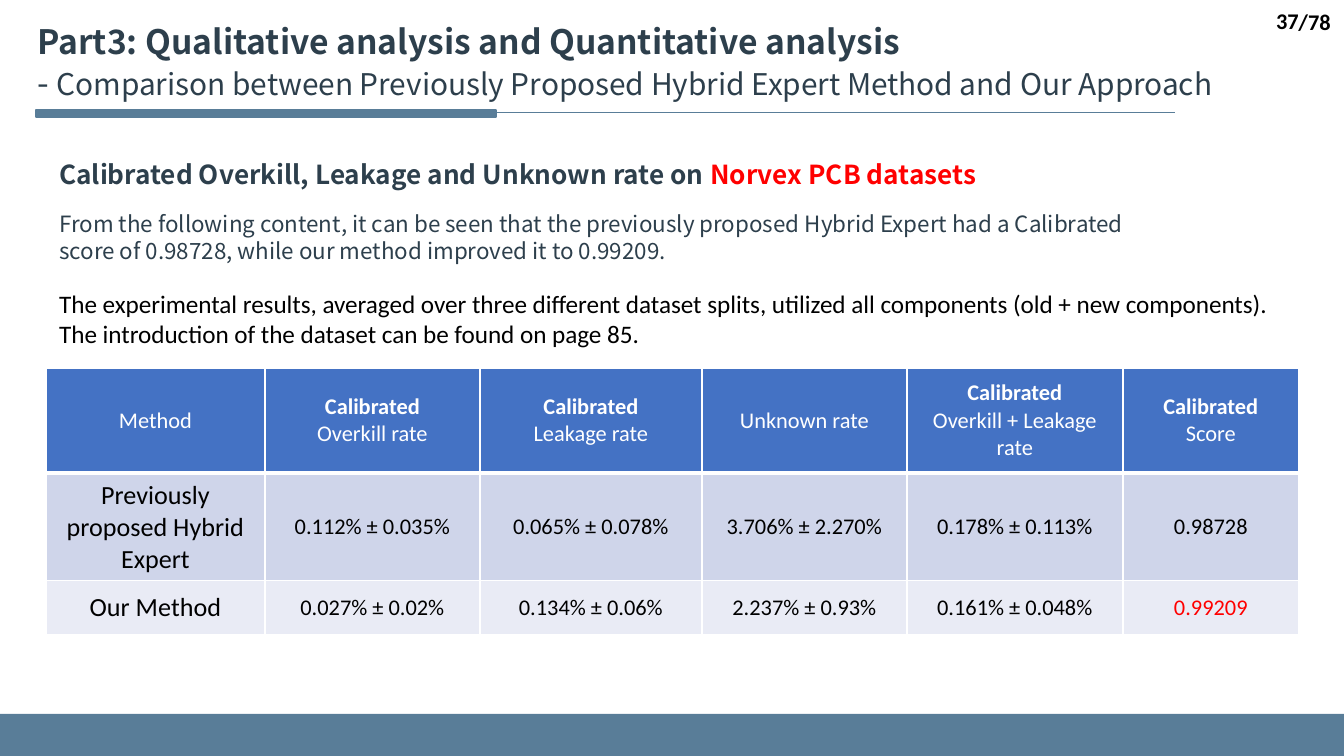
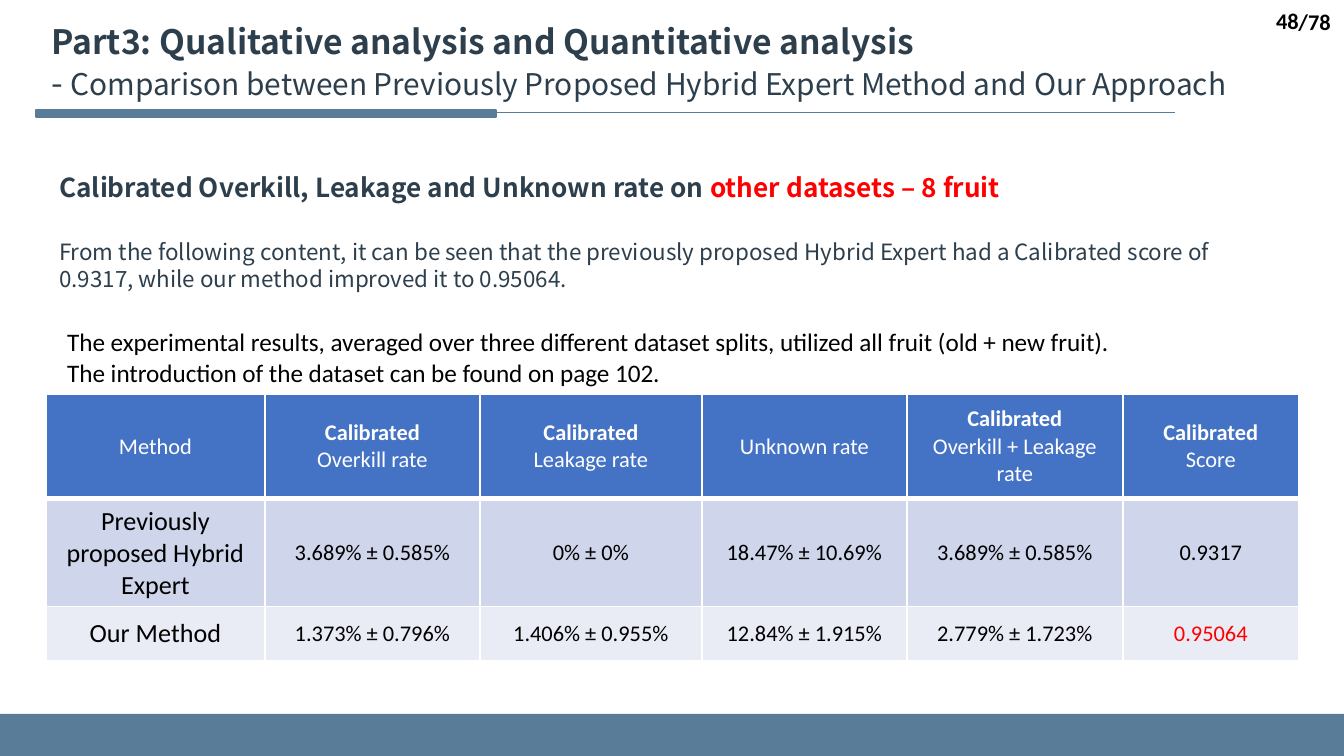
from lxml.etree import SubElement
from pptx import Presentation
from pptx.dml.color import RGBColor
from pptx.enum.shapes import MSO_CONNECTOR, MSO_SHAPE
from pptx.enum.text import MSO_ANCHOR as Anchor, MSO_AUTO_SIZE, PP_ALIGN as Align
from pptx.oxml.ns import qn
from pptx.util import Emu, Pt

COLORS = {
    "steel": "597D98", "ink": "2D3F4C", "black": "000000", "white": "FFFFFF",
    "red": "FF0000", "header": "4472C4", "band_dark": "CFD5EA", "band_light": "E9EBF5",
}
SANS, BODY = "Noto Sans CJK SC", "Calibri"
EMU_PER_PX = 914400 / 134.4
WIDTH, HEIGHT = 1344, 756

TITLE = [
    ["Part3: Qualitative analysis and Quantitative analysis"],
    [("- ", {"bold": False}),
     ("Comparison between Previously Proposed Hybrid Expert Method and Our Approach",
      {"bold": False, "size": 16})],
]
HEADING = "Calibrated Overkill, Leakage and Unknown rate on "
SUMMARY = ("From the following content, it can be seen that the previously proposed Hybrid Expert "
           "had a Calibrated score of {}, while our method improved it to {}.")
NOTES = ("The experimental results, averaged over three different dataset splits, utilized all {}.",
         "The introduction of the dataset can be found on page {}.")
PAGE_COUNT = 78

CALIBRATED = ("Calibrated", {"bold": True})
HEADERS = [
    [["Method"]],
    [[CALIBRATED], ["Overkill rate"]],
    [[CALIBRATED], ["Leakage rate"]],
    [["Unknown rate"]],
    [[CALIBRATED], ["Overkill + Leakage"], ["rate"]],
    [[CALIBRATED], ["Score"]],
]
METHODS = ["Previously proposed Hybrid Expert", "Our Method"]
COLUMN_WIDTHS = [219, 215, 222, 205, 216, 176]
ROW_HEIGHTS = [105, 75, 54]

SLIDES = [
    {
        "page": 37,
        "dataset": "Norvex PCB datasets",
        "items": "components (old + new components)",
        "dataset_page": 85,
        "results": [
            ["0.112% ± 0.035%", "0.065% ± 0.078%", "3.706% ± 2.270%", "0.178% ± 0.113%", "0.98728"],
            ["0.027% ± 0.02%", "0.134% ± 0.06%", "2.237% ± 0.93%", "0.161% ± 0.048%", "0.99209"],
        ],
        "padded_rows": [1, 2],
        "title_box": (24, 13, 1269, 95),
        "heading_box": (46, 151, 997, 46),
        "summary_box": (46, 203, 1129, 67),
        "notes_box": (46, 282, 1253, 75),
        "table_top": 368,
    },
    {
        "page": 48,
        "dataset": "other datasets – 8 fruit",
        "items": "fruit (old + new fruit)",
        "dataset_page": 102,
        "results": [
            ["3.689% ± 0.585%", "0% ± 0%", "18.47% ± 10.69%", "3.689% ± 0.585%", "0.9317"],
            ["1.373% ± 0.796%", "1.406% ± 0.955%", "12.84% ± 1.915%", "2.779% ± 1.723%", "0.95064"],
        ],
        "padded_rows": [1],
        "title_box": (38, 13, 1279, 95),
        "heading_box": (46, 164, 997, 46),
        "summary_box": (46, 231, 1199, 67),
        "notes_box": (54, 320, 1210, 75),
        "table_top": 394,
    },
]


def px(length):
    """Turn pixels into EMU."""
    return Emu(round(length * EMU_PER_PX))


def color(name):
    """Look up a named colour."""
    return RGBColor.from_string(COLORS[name])


def write(frame, paragraphs, align=Align.LEFT, line=None, **base):
    """Fill a text frame with paragraphs made of strings or (text, format) runs."""
    frame.word_wrap = True
    for index, runs in enumerate(paragraphs):
        paragraph = frame.paragraphs[0] if index == 0 else frame.add_paragraph()
        paragraph.alignment = align
        if line:
            paragraph.line_spacing = Pt(line)
            paragraph.space_before = Pt(0)
        for item in runs:
            text, changes = (item, {}) if isinstance(item, str) else item
            style = {"size": 12, "font": BODY, "color": "black", "bold": False, **base, **changes}
            run = paragraph.add_run()
            run.text = text
            run.font.name = style["font"]
            run.font.size = Pt(style["size"])
            run.font.bold = style["bold"]
            run.font.color.rgb = color(style["color"])


def add_text(slide, box, paragraphs, anchor=Anchor.TOP, **style):
    """Add a text box."""
    frame = slide.shapes.add_textbox(*map(px, box)).text_frame
    frame.vertical_anchor = anchor
    write(frame, paragraphs, **style)


def add_bar(slide, box, outlined=False):
    """Add a steel blue bar."""
    bar = slide.shapes.add_shape(MSO_SHAPE.RECTANGLE, *map(px, box))
    bar.shadow.inherit = False
    bar.fill.solid()
    bar.fill.fore_color.rgb = color("steel")
    if outlined:
        bar.line.color.rgb = color("steel")
        bar.line.width = Pt(1)
    else:
        bar.line.fill.background()


def add_frame(slide, page):
    """Add the footer band, the title rule and the page number."""
    add_bar(slide, (0, 714, WIDTH, 42))
    rule = slide.shapes.add_connector(MSO_CONNECTOR.STRAIGHT, px(1175), px(113), px(36), px(113))
    rule.line.color.rgb = color("steel")
    rule.line.width = Pt(0.5)
    SubElement(rule._element.spPr, qn("a:effectLst"))
    add_bar(slide, (36, 110, 460, 7), outlined=True)
    for text, box in ((f"/{PAGE_COUNT}", (1282, 1, 62, 41)), (str(page), (1042, 0, 270, 42))):
        add_text(slide, box, [[text]], anchor=Anchor.MIDDLE, align=Align.RIGHT, bold=True)


def add_title(slide, box):
    """Place and fill the title placeholder."""
    title = slide.shapes.title
    title.left, title.top, title.width, title.height = map(px, box)
    title.text_frame.auto_size = MSO_AUTO_SIZE.NONE
    title.text_frame.vertical_anchor = Anchor.TOP
    write(title.text_frame, TITLE, line=22, font=SANS, size=18, color="ink", bold=True)


def add_borders(cell):
    """Give a header cell white borders with a heavy bottom one."""
    properties = cell._tc.get_or_add_tcPr()
    for side, points in (("L", 1), ("R", 1), ("T", 1), ("B", 3)):
        border = SubElement(properties, qn(f"a:ln{side}"), w=str(Pt(points)))
        fill = SubElement(border, qn("a:solidFill"))
        SubElement(fill, qn("a:srgbClr"), val=COLORS["white"])


def fill_cell(cell, paragraphs, fill, padded=False, **style):
    """Fill and format one table cell."""
    cell.fill.solid()
    cell.fill.fore_color.rgb = color(fill)
    cell.vertical_anchor = Anchor.MIDDLE
    if padded:
        cell.margin_left = cell.margin_right = px(17)
        cell.margin_top = cell.margin_bottom = px(9)
    write(cell.text_frame, paragraphs, align=Align.CENTER, **style)


def add_results(slide, top, results, padded_rows):
    """Add the table that compares both methods."""
    table = slide.shapes.add_table(
        len(ROW_HEIGHTS), len(COLUMN_WIDTHS),
        px(46), px(top), px(sum(COLUMN_WIDTHS)), px(sum(ROW_HEIGHTS))).table
    for column, width in zip(table.columns, COLUMN_WIDTHS):
        column.width = px(width)
    for row, height in zip(table.rows, ROW_HEIGHTS):
        row.height = px(height)
    for column, paragraphs in enumerate(HEADERS):
        cell = table.cell(0, column)
        add_borders(cell)
        fill_cell(cell, paragraphs, "header", color="white")
    last = len(results), len(COLUMN_WIDTHS) - 1
    for row, (method, values) in enumerate(zip(METHODS, results), 1):
        fill = "band_dark" if row % 2 else "band_light"
        fill_cell(table.cell(row, 0), [[method]], fill, size=14)
        for column, value in enumerate(values, 1):
            fill_cell(table.cell(row, column), [[value]], fill, padded=row in padded_rows,
                      color="red" if (row, column) == last else "black")


def add_comparison(presentation, content):
    """Add one comparison slide."""
    slide = presentation.slides.add_slide(presentation.slide_layouts[5])
    scores = [values[-1] for values in content["results"]]
    add_frame(slide, content["page"])
    add_title(slide, content["title_box"])
    add_results(slide, content["table_top"], content["results"], content["padded_rows"])
    add_text(slide, content["heading_box"], [[HEADING, (content["dataset"], {"color": "red"})]],
             line=17, font=SANS, size=14, color="ink", bold=True)
    add_text(slide, content["summary_box"], [[SUMMARY.format(*scores)]],
             line=14.6, font=SANS, color="ink")
    details = content["items"], content["dataset_page"]
    add_text(slide, content["notes_box"],
             [[note.format(detail)] for note, detail in zip(NOTES, details)], size=13.5)


def main():
    """Build the presentation."""
    presentation = Presentation()
    presentation.slide_width, presentation.slide_height = px(WIDTH), px(HEIGHT)
    for content in SLIDES:
        add_comparison(presentation, content)
    presentation.save("out.pptx")


if __name__ == "__main__":
    main()
